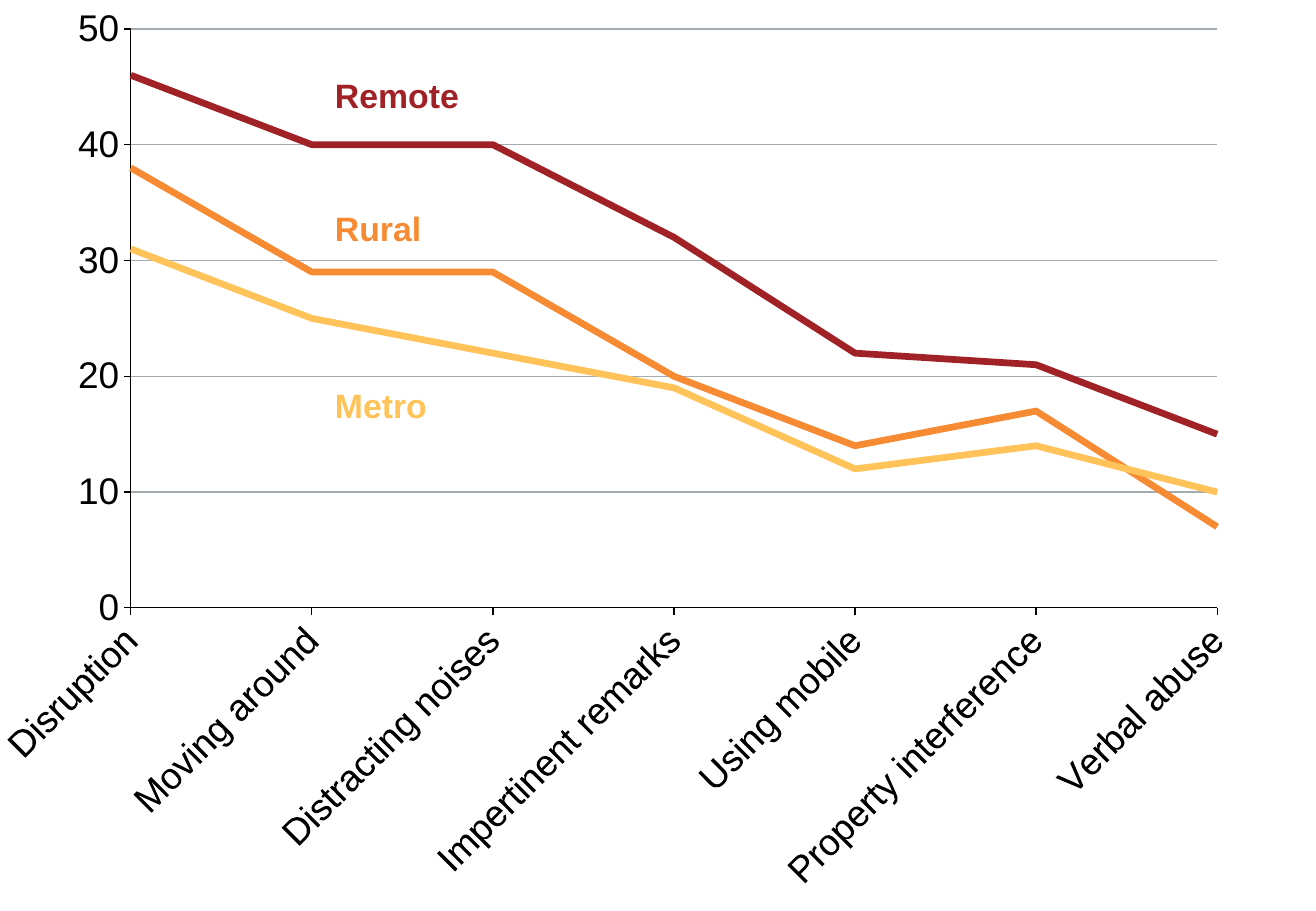
from lxml import etree
from pptx import Presentation
from pptx.chart.data import CategoryChartData
from pptx.dml.color import RGBColor
from pptx.enum.chart import XL_CHART_TYPE, XL_TICK_MARK
from pptx.enum.text import MSO_AUTO_SIZE
from pptx.oxml.ns import qn
from pptx.util import Emu, Pt

PX = 7526  # EMU per px
W, H = 1316, 911
FONT = "Arial"
COLORS = {
    "Remote": "A02226",
    "Rural": "F68B33",
    "Metro": "FFC35A",
    "axis": "000000",
    "grid": "A4ABB1",
}


def px(n):
    return Emu(n * PX)


def style_line(line, color, width):
    line.color.rgb = RGBColor.from_string(COLORS[color])
    line.width = Pt(width)


prs = Presentation()
prs.slide_width, prs.slide_height = px(W), px(H)
s = prs.slides.add_slide(prs.slide_layouts[6])

# Chart data
data = CategoryChartData()
data.categories = ["Disruption", "Moving around", "Distracting noises", "Impertinent remarks",
                   "Using mobile", "Property interference", "Verbal abuse"]
data.add_series("Remote", [46, 40, 40, 32, 22, 21, 15])
data.add_series("Rural", [38, 29, 29, 20, 14, 17, 7])
data.add_series("Metro", [31, 25, 22, 19, 12, 14, 10])

# Line chart across the whole slide
chart = s.shapes.add_chart(XL_CHART_TYPE.LINE, 0, 0, px(W), px(H), data).chart
chart.has_legend = False
chart.has_title = False
chart.font.name = FONT
chart.font.size = Pt(18)
chart.font.color.rgb = RGBColor.from_string(COLORS["axis"])
chart.plots[0].vary_by_categories = False
for series in chart.plots[0].series:
    series.smooth = False
    style_line(series.format.line, series.name, 4)

# Axes
cat_axis, val_axis = chart.category_axis, chart.value_axis
for axis in (cat_axis, val_axis):
    axis.major_tick_mark = XL_TICK_MARK.OUTSIDE
    axis.minor_tick_mark = XL_TICK_MARK.NONE
    axis.tick_labels.font.size = Pt(22)
    axis.tick_labels.font.name = FONT
    axis.tick_labels.font.color.rgb = RGBColor.from_string(COLORS["axis"])
    style_line(axis.format.line, "axis", 0.75)
cat_axis.has_major_gridlines = False
val_axis.minimum_scale, val_axis.maximum_scale, val_axis.major_unit = 0, 50, 10
val_axis.has_major_gridlines = True
style_line(val_axis.major_gridlines.format.line, "grid", 0.75)

# Slanted category labels, lines starting on the value axis
plot_area = chart.element.find(".//" + qn("c:plotArea"))
body = plot_area.find(qn("c:catAx")).find(".//" + qn("a:bodyPr"))
body.set("rot", "-2700000")
body.set("vert", "horz")
cross = etree.Element(qn("c:crossBetween"), val="midCat")
plot_area.find(qn("c:valAx")).find(qn("c:crosses")).addnext(cross)

# Fixed inner plot area
for old in plot_area.findall(qn("c:layout")):
    plot_area.remove(old)
layout = etree.Element(qn("c:layout"))
manual = etree.SubElement(layout, qn("c:manualLayout"))
for tag, val in (("layoutTarget", "inner"), ("xMode", "edge"), ("yMode", "edge"),
                 ("x", 128 / W), ("y", 29 / H), ("w", 1089 / W), ("h", 579 / H)):
    etree.SubElement(manual, qn("c:" + tag)).set("val", str(val))
plot_area.insert(0, layout)

# Line labels
for name, top, width in (("Remote", 69, 149), ("Rural", 202, 132), ("Metro", 379, 117)):
    tf = s.shapes.add_textbox(px(323), px(top), px(width), px(53)).text_frame
    tf.word_wrap = name == "Rural"
    tf.auto_size = MSO_AUTO_SIZE.SHAPE_TO_FIT_TEXT
    tf.text = name
    font = tf.paragraphs[0].runs[0].font
    font.name, font.size, font.bold = FONT, Pt(20), True
    font.color.rgb = RGBColor.from_string(COLORS[name])

prs.save("out.pptx")
